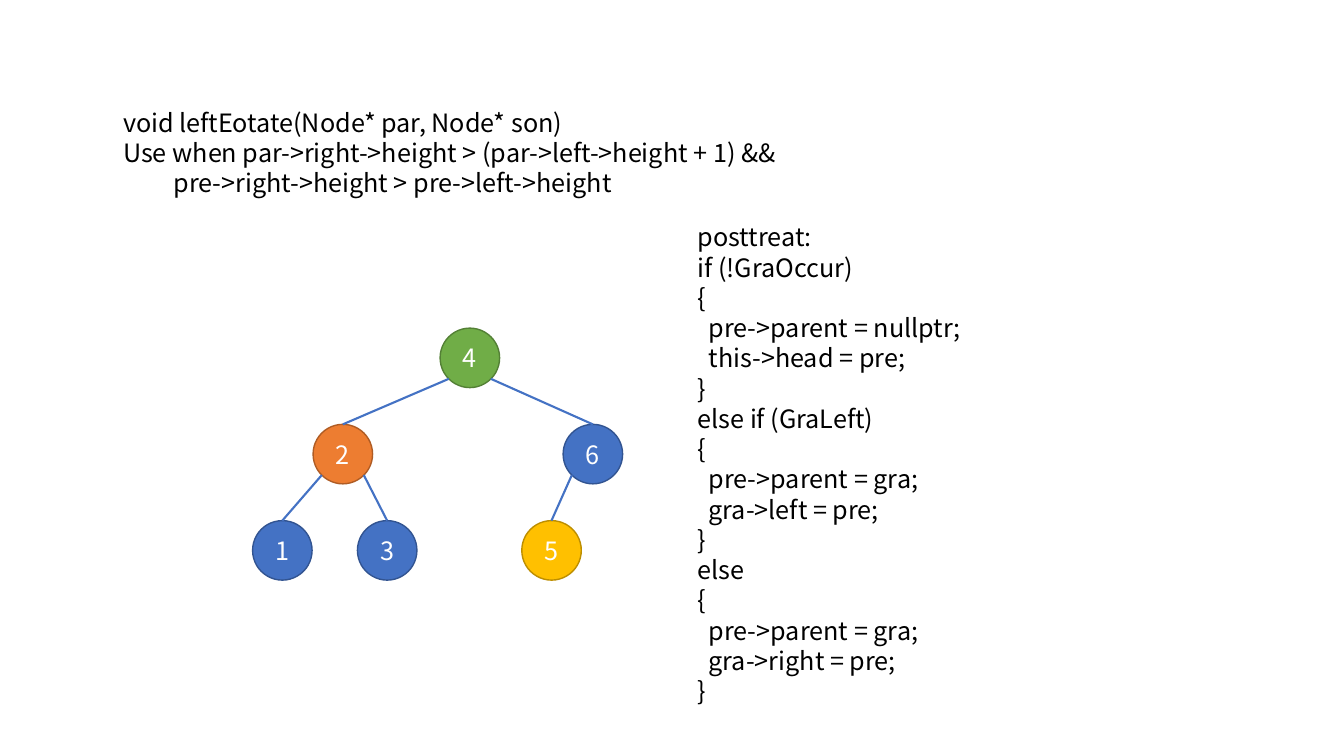
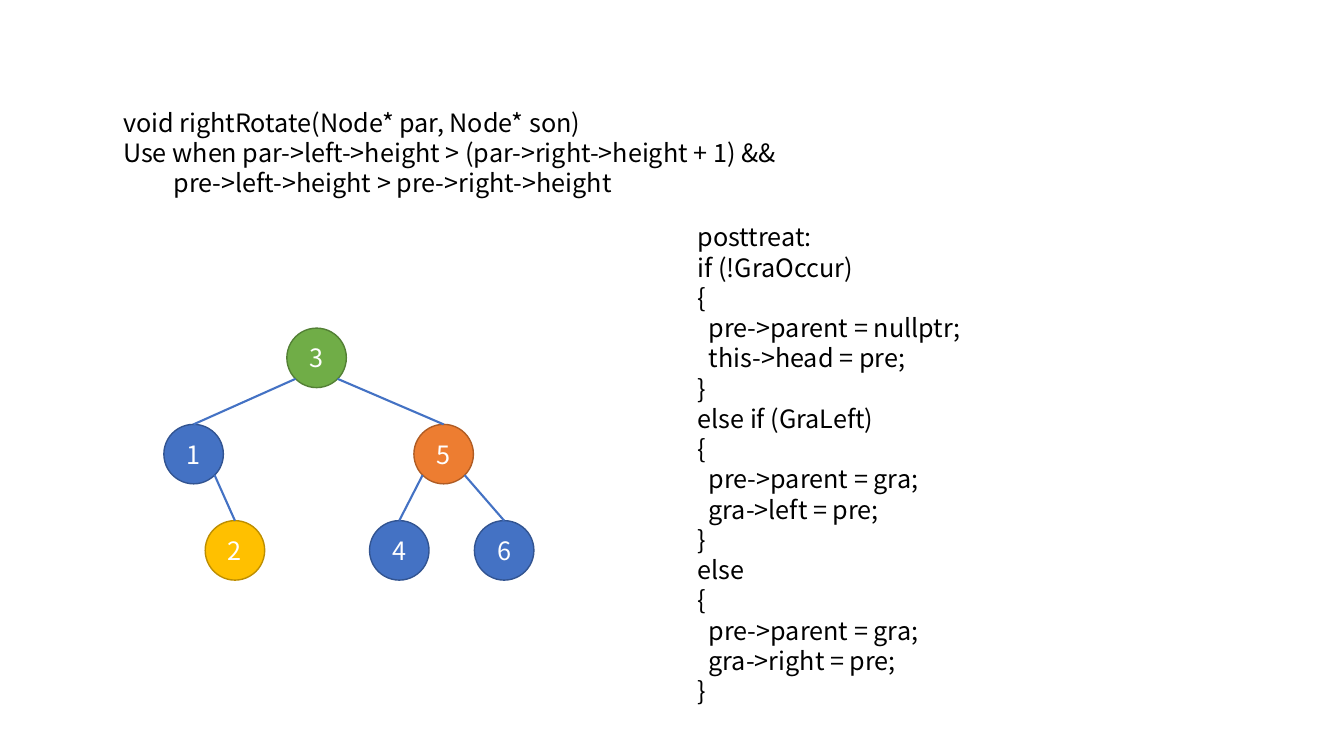
from math import sqrt

from pptx import Presentation
from pptx.dml.color import RGBColor
from pptx.enum.shapes import MSO_CONNECTOR, MSO_SHAPE
from pptx.enum.text import MSO_ANCHOR, MSO_AUTO_SIZE, PP_ALIGN
from pptx.oxml.ns import qn
from pptx.util import Inches, Pt
from lxml.etree import SubElement

THEME = {
    "font": "Noto Sans CJK SC",
    "size": Pt(18),
    "line_spacing": Pt(21.6),
    "text": "000000",
    "node_text": "FFFFFF",
    "edge": "4472C4",
    "edge_width": Pt(1.5),
    "outline_width": Pt(1),
    "roles": {
        "root": ("70AD47", "538035"),
        "pivot": ("ED7D31", "AF5C24"),
        "moved": ("FFC000", "BD8E00"),
        "plain": ("4472C4", "325491"),
    },
}

SLIDE_SIZE = (13.33, 7.5)
TITLE_BOX = (1.12, 1.01, 7.31, 1.01)
CODE_BOX = (6.82, 2.15, 5.22, 4.95)
CODE_INDENT = 0.11
CONDITION_INDENT = 0.5

ROTATIONS = [
    {
        "title": [
            (0, "void leftEotate(Node* par, Node* son)"),
            (0, "Use when par->right->height > (par->left->height + 1) &&"),
            (CONDITION_INDENT, "pre->right->height > pre->left->height"),
        ],
        "mirrored": False,
    },
    {
        "title": [
            (0, "void rightRotate(Node* par, Node* son)"),
            (0, "Use when par->left->height > (par->right->height + 1) &&"),
            (CONDITION_INDENT, "pre->left->height > pre->right->height"),
        ],
        "mirrored": True,
    },
]


def block(head, *statements):
    body = [(CODE_INDENT, statement) for statement in statements]
    return [(0, head), (0, "{"), *body, (0, "}")]


POSTTREAT = [
    (0, "posttreat:"),
    *block("if (!GraOccur)", "pre->parent = nullptr;", "this->head = pre;"),
    *block("else if (GraLeft)", "pre->parent = gra;", "gra->left = pre;"),
    *block("else", "pre->parent = gra;", "gra->right = pre;"),
]

# key: (center x, level, role, parent)
TREE = {
    2: (3.4, 1, "pivot", 4),
    1: (2.8, 2, "plain", 2),
    4: (4.66, 0, "root", None),
    6: (5.88, 1, "plain", 4),
    3: (3.84, 2, "plain", 2),
    5: (5.47, 2, "moved", 6),
}
DIAMETER = 0.59
ROOT_CENTER_Y = 3.55
LEVEL_GAP = 0.955
MIRROR_WIDTH = 7.8


def color(value):
    return RGBColor.from_string(value)


def inches(values):
    return [Inches(value) for value in values]


def write(shape, lines, text_color, align=PP_ALIGN.LEFT, anchor=MSO_ANCHOR.TOP):
    frame = shape.text_frame
    frame_format = {
        "word_wrap": True,
        "auto_size": MSO_AUTO_SIZE.NONE,
        "vertical_anchor": anchor,
    }
    for name, value in frame_format.items():
        setattr(frame, name, value)
    paragraph_format = {
        "alignment": align,
        "line_spacing": THEME["line_spacing"],
        "space_before": Pt(0),
        "space_after": Pt(0),
    }
    for index, (indent, text) in enumerate(lines):
        paragraph = frame.add_paragraph() if index else frame.paragraphs[0]
        for name, value in paragraph_format.items():
            setattr(paragraph, name, value)
        properties = paragraph._p.get_or_add_pPr()
        properties.set("marL", str(Inches(indent)))
        properties.set("indent", "0")
        run = paragraph.add_run()
        run.text = text
        run.font.name = THEME["font"]
        run.font.size = THEME["size"]
        run.font.color.rgb = color(text_color)
        east_asian = SubElement(run._r.get_or_add_rPr(), qn("a:ea"))
        east_asian.set("typeface", THEME["font"])


def add_node(slide, key, center, role):
    left, top = (value - DIAMETER / 2 for value in center)
    node = slide.shapes.add_shape(
        MSO_SHAPE.OVAL, *inches((left, top, DIAMETER, DIAMETER))
    )
    fill, outline = THEME["roles"][role]
    node.shadow.inherit = False
    node.fill.solid()
    node.fill.fore_color.rgb = color(fill)
    node.line.color.rgb = color(outline)
    node.line.width = THEME["outline_width"]
    write(node, [(0, str(key))], THEME["node_text"], PP_ALIGN.CENTER, MSO_ANCHOR.MIDDLE)
    return node


def add_edge(slide, parent_center, child_center, child):
    reach = DIAMETER / 2 / sqrt(2)
    side = 1 if child_center[0] > parent_center[0] else -1
    start = (parent_center[0] + side * reach, parent_center[1] + reach)
    end = (child_center[0], child_center[1] - DIAMETER / 2)
    edge = slide.shapes.add_connector(MSO_CONNECTOR.STRAIGHT, *inches(start + end))
    edge.end_connect(child, 0)
    edge.line.color.rgb = color(THEME["edge"])
    edge.line.width = THEME["edge_width"]
    SubElement(edge._element.spPr, qn("a:effectLst"))


def add_tree(slide, mirrored):
    centers = {
        key: (MIRROR_WIDTH - x if mirrored else x, ROOT_CENTER_Y + level * LEVEL_GAP)
        for key, (x, level, _, _) in TREE.items()
    }
    nodes = {}
    for key, (_, _, role, _) in TREE.items():
        label = len(TREE) + 1 - key if mirrored else key
        nodes[key] = add_node(slide, label, centers[key], role)
    for key, (_, _, _, parent) in TREE.items():
        if parent is not None:
            add_edge(slide, centers[parent], centers[key], nodes[key])


def add_rotation(presentation, rotation):
    slide = presentation.slides.add_slide(presentation.slide_layouts[5])
    title = slide.shapes.title
    for name, value in zip(("left", "top", "width", "height"), inches(TITLE_BOX)):
        setattr(title, name, value)
    write(title, rotation["title"], THEME["text"])
    code = slide.shapes.add_textbox(*inches(CODE_BOX))
    write(code, POSTTREAT, THEME["text"])
    add_tree(slide, rotation["mirrored"])


def main():
    presentation = Presentation()
    presentation.slide_width, presentation.slide_height = inches(SLIDE_SIZE)
    for rotation in ROTATIONS:
        add_rotation(presentation, rotation)
    presentation.save("out.pptx")


if __name__ == "__main__":
    main()
